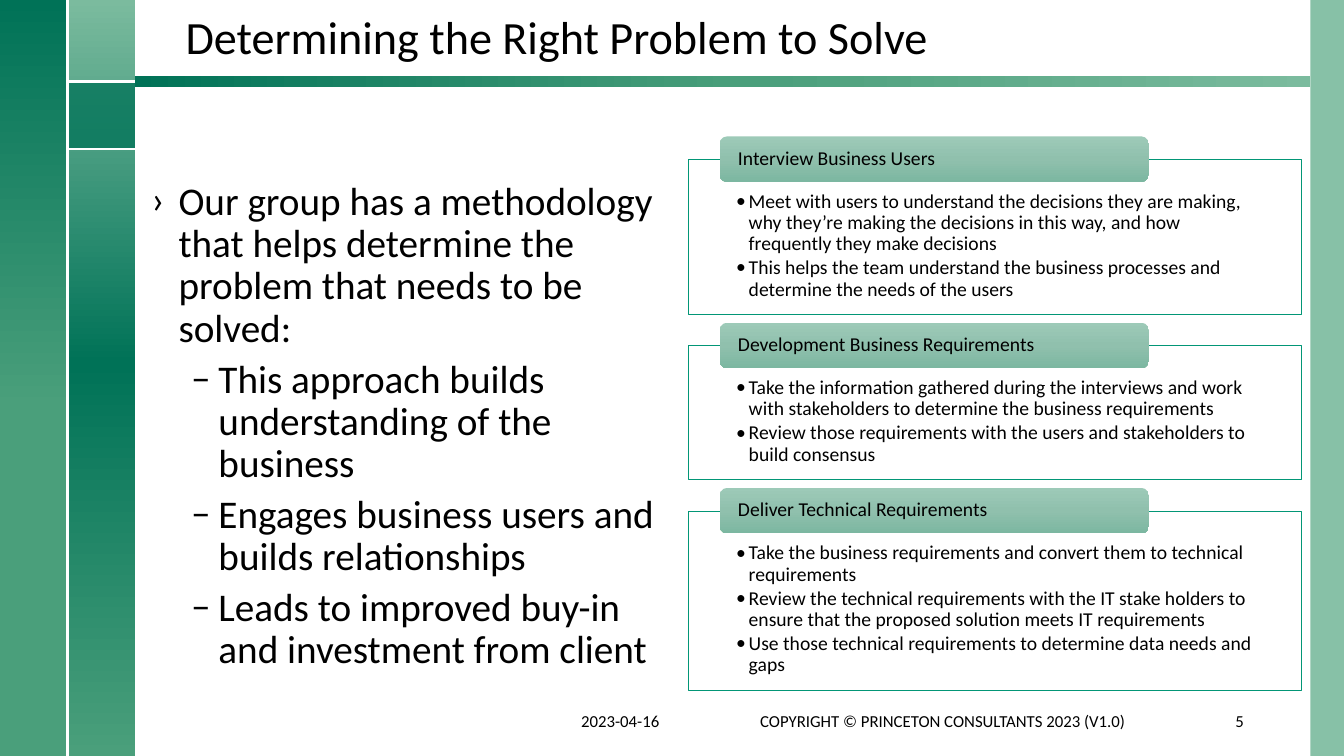
from lxml import etree
from pptx import Presentation
from pptx.dml.color import RGBColor
from pptx.enum import shapes, text
from pptx.oxml.ns import qn
from pptx.util import Pt

W, H = 960, 540
FONT = "Calibri"
C = {"black": "000000", "white": "FFFFFF", "light": "7BBB9E", "mid": "4A9F7B",
     "dark": "007257", "edge": "029676",
     "tab_top": "9DCAB8", "tab_mid": "90C0AD", "tab_end": "7CB7A1"}

TITLE = "Determining the Right Problem to Solve"
BODY = [
    (0, "Our group has a methodology that helps determine the problem that needs to be solved:"),
    (1, "This approach builds understanding of the business"),
    (1, "Engages business users and builds relationships"),
    (1, "Leads to improved buy-in and investment from client"),
]
BODY_LEVELS = [("›", 19.5, 14), ("–", 48, 6)]  # bullet, left margin, space before

STEPS = [  # heading, panel height, bullets
    ("Interview Business Users", 110.9, [
        "Meet with users to understand the decisions they are making, why they’re making "
        "the decisions in this way, and how frequently they make decisions",
        "This helps the team understand the business processes and determine the needs of the users"]),
    ("Development Business Requirements", 95.8, [
        "Take the information gathered during the interviews and work with stakeholders "
        "to determine the business requirements",
        "Review those requirements with the users and stakeholders to build consensus"]),
    ("Deliver Technical Requirements", 128.2, [
        "Take the business requirements and convert them to technical requirements",
        "Review the technical requirements with the IT stake holders to ensure that the "
        "proposed solution meets IT requirements",
        "Use those technical requirements to determine data needs and gaps"]),
]
FOOTER = [  # text, left, width, alignment
    ("2023-04-16", 408, 96, text.PP_ALIGN.LEFT),
    ("COPYRIGHT © PRINCETON CONSULTANTS 2023 (V1.0)", 515.5, 316, text.PP_ALIGN.CENTER),
    ("5", 847.5, 48, text.PP_ALIGN.RIGHT),
]

RAIL = 48.2  # width of each left-hand band
BAR_Y, BAR_H = 54.3, 7.6
RIGHT = 936
SQUARE_Y, SQUARE_H = 58.2, 48
PANEL_X, PANEL_Y, PANEL_W, PANEL_GAP = 491.8, 113.8, 437.8, 22.2
TAB_X, TAB_W, TAB_H, TAB_RISE = 514, 306.7, 32.5, 16.4

prs = Presentation()
prs.slide_width, prs.slide_height = Pt(W), Pt(H)
s = prs.slides.add_slide(prs.slide_layouts[6])


def rgb(name):
    return RGBColor.from_string(C[name])


def add_box(x, y, w, h, kind=shapes.MSO_SHAPE.RECTANGLE):
    sp = s.shapes.add_shape(kind, Pt(x), Pt(y), Pt(w), Pt(h))
    sp.shadow.inherit = False
    sp.line.fill.background()
    return sp


def fill_solid(sp, color, opacity):
    sp.fill.solid()
    sp.fill.fore_color.rgb = rgb(color)
    clr = sp._element.spPr.find(qn("a:solidFill"))[0]
    etree.SubElement(clr, qn("a:alpha"), val=str(opacity * 1000))


def fill_gradient(sp, stops, angle):
    """Fill with (percent, colour) stops; angle is counter-clockwise degrees."""
    sp.fill.gradient()
    sp.fill.gradient_angle = angle
    gs_lst = sp._element.spPr.find(qn("a:gradFill")).find(qn("a:gsLst"))
    for gs in list(gs_lst):
        gs_lst.remove(gs)
    for pos, color in stops:
        gs = etree.SubElement(gs_lst, qn("a:gs"), pos=str(pos * 1000))
        etree.SubElement(gs, qn("a:srgbClr"), val=C[color])


def add_rule(x1, y1, x2, y2):
    cx = s.shapes.add_connector(shapes.MSO_CONNECTOR.STRAIGHT, Pt(x1), Pt(y1), Pt(x2), Pt(y2))
    cx.line.color.rgb = rgb("white")
    cx.line.width = Pt(1.5)
    etree.SubElement(cx._element.spPr, qn("a:effectLst"))


def setup_frame(sp, anchor, insets=(7.2, 3.6, 7.2, 3.6)):
    tf = sp.text_frame
    tf.word_wrap = True
    tf.vertical_anchor = anchor
    tf.margin_left, tf.margin_top, tf.margin_right, tf.margin_bottom = map(Pt, insets)
    return tf


def add_text(x, y, w, h, anchor):
    return setup_frame(s.shapes.add_textbox(Pt(x), Pt(y), Pt(w), Pt(h)), anchor)


def write(tf, lines, size, align=text.PP_ALIGN.LEFT, spacing=0.9):
    for i, line in enumerate(lines):
        p = tf.paragraphs[0] if i == 0 else tf.add_paragraph()
        p.text = line
        p.alignment = align
        p.line_spacing = spacing
        font = p.runs[0].font
        font.size, font.name, font.color.rgb = Pt(size), FONT, rgb("black")
    return tf.paragraphs


def set_bullet(p, char, left, hang):
    pPr = p._p.get_or_add_pPr()
    pPr.set("marL", str(Pt(left)))
    pPr.set("indent", str(-Pt(hang)))
    etree.SubElement(pPr, qn("a:buFont"), typeface=FONT)
    etree.SubElement(pPr, qn("a:buChar"), char=char)


# Frame of bands around the slide
fill_solid(add_box(RIGHT, 0, W - RIGHT, H), "light", 90)
fill_gradient(add_box(RAIL, 0, RAIL, H), [(0, "light"), (48, "dark"), (100, "mid")], 270)
fill_gradient(add_box(0, 0, RAIL, H), [(0, "mid"), (46, "mid"), (100, "dark")], 90)
fill_solid(add_box(RAIL, SQUARE_Y, RAIL, SQUARE_H), "dark", 75)
for y in (SQUARE_Y, SQUARE_Y + SQUARE_H):
    add_rule(RAIL, y, 2 * RAIL, y)
add_rule(RAIL, 0, RAIL, H)
fill_gradient(add_box(2 * RAIL, BAR_Y, RIGHT - 2 * RAIL, BAR_H),
              [(0, "light"), (48, "mid"), (100, "dark")], 180)

# Title and body
write(add_text(125.5, 5.8, 770, 44, text.MSO_ANCHOR.BOTTOM), [TITLE], 33)
paras = write(add_text(101, 126, 379.5, 360, text.MSO_ANCHOR.TOP), [t for _, t in BODY], 28)
for i, (p, (level, _)) in enumerate(zip(paras, BODY)):
    char, left, before = BODY_LEVELS[level]
    p.level = level
    p.space_before = Pt(before if i else 0)
    set_bullet(p, char, left, 19.5)

# Stacked steps, each a panel with a tab over its top edge
top = PANEL_Y
for heading, height, bullets in STEPS:
    panel = add_box(PANEL_X, top, PANEL_W, height)
    fill_solid(panel, "white", 90)
    panel.line.color.rgb = rgb("edge")
    panel.line.width = Pt(0.5)
    for p in write(setup_frame(panel, text.MSO_ANCHOR.TOP, (34, 23, 34, 8)), bullets, 14):
        p.level = 1
        p.space_after = Pt(2)
        set_bullet(p, "•", 9, 9)

    tab = add_box(TAB_X, top - TAB_RISE, TAB_W, TAB_H, shapes.MSO_SHAPE.ROUNDED_RECTANGLE)
    fill_gradient(tab, [(0, "tab_top"), (50, "tab_mid"), (100, "tab_end")], 270)
    write(setup_frame(tab, text.MSO_ANCHOR.MIDDLE, (11.6, 0, 11.6, 0)), [heading], 14)
    top += height + PANEL_GAP

for words, x, w, align in FOOTER:
    write(add_text(x, 500.5, w, 28.8, text.MSO_ANCHOR.MIDDLE), [words], 12, align, 1.0)

prs.save("out.pptx")
